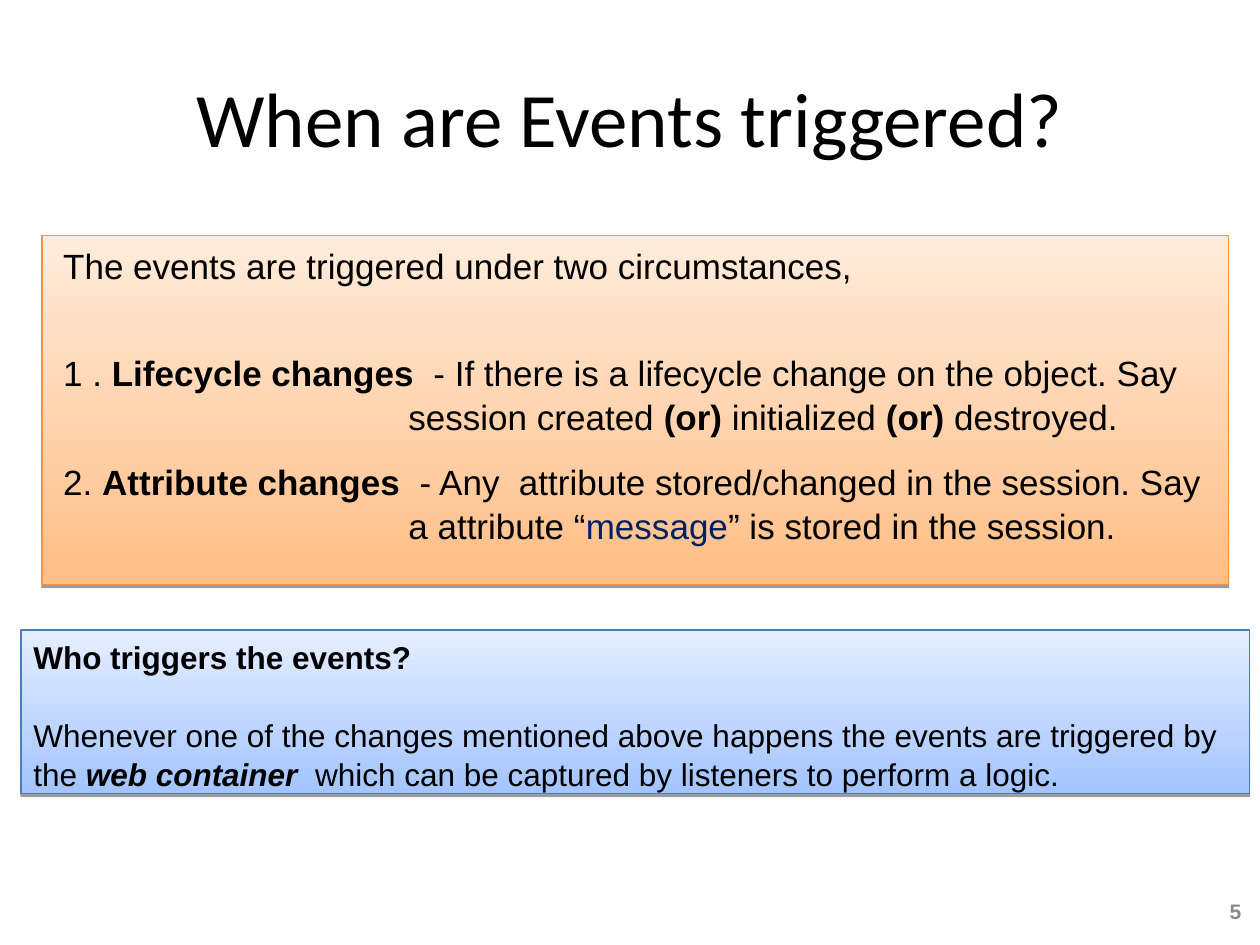
from lxml.etree import SubElement
from pptx import Presentation
from pptx.dml.color import RGBColor
from pptx.enum.shapes import MSO_SHAPE as Preset
from pptx.enum.text import MSO_ANCHOR as Anchor, PP_ALIGN as Align
from pptx.oxml.ns import qn
from pptx.util import Pt

BLACK = RGBColor(0x00, 0x00, 0x00)
GREY = RGBColor(0x89, 0x89, 0x89)
NAVY = RGBColor(0x00, 0x20, 0x60)
ORANGE_LINE = RGBColor(0xF6, 0x92, 0x40)
ORANGE_DEEP = RGBColor(0xFF, 0xBE, 0x86)
ORANGE_PALE = RGBColor(0xFF, 0xEB, 0xDB)
BLUE_LINE = RGBColor(0x4A, 0x7E, 0xBB)
BLUE_DEEP = RGBColor(0xA3, 0xC4, 0xFF)
BLUE_PALE = RGBColor(0xE5, 0xEE, 0xFF)

BOLD = {"bold": True}
BOLD_ITALIC = {"bold": True, "italic": True}


class SlideBuilder:
    title_font = "Calibri"
    body_font = "Arial"
    line_spacing = 1.05

    def __init__(self, slide):
        self.slide = slide

    def fill_paragraph(self, paragraph, runs, size, font=body_font, color=BLACK, **layout):
        """Fill a paragraph from (text, font format) pairs."""
        for name, value in layout.items():
            setattr(paragraph, name, value)
        for text, changes in runs:
            run = paragraph.add_run()
            run.text = text
            style = {"name": font, "size": Pt(size), "color": color, **changes}
            run.font.color.rgb = style.pop("color")
            for name, value in style.items():
                setattr(run.font, name, value)

    def label(self, box, text, size, align, **changes):
        frame = self.slide.shapes.add_textbox(*map(Pt, box)).text_frame
        frame.word_wrap = True
        frame.vertical_anchor = Anchor.MIDDLE
        self.fill_paragraph(frame.paragraphs[0], [(text, changes)], size, alignment=align)

    def panel(self, box, line, deep, pale, paragraphs, size, indent=(0, 0)):
        """Add a shaded rectangle with (space before, runs) paragraphs."""
        panel = self.slide.shapes.add_shape(Preset.RECTANGLE, *map(Pt, box))
        panel.line.color.rgb = line
        panel.line.width = Pt(0.75)
        panel.fill.gradient()
        panel.fill.gradient_angle = 90
        for position, (stop, color) in enumerate(zip(panel.fill.gradient_stops, (deep, pale))):
            stop.color.rgb = color
            stop.position = position
        self.drop_shadow(panel)

        frame = panel.text_frame
        frame.word_wrap = True
        frame.vertical_anchor = Anchor.TOP
        margin, first_line = indent
        for index, (gap, runs) in enumerate(paragraphs):
            paragraph = frame.add_paragraph() if index else frame.paragraphs[0]
            properties = paragraph._p.get_or_add_pPr()
            properties.set("marL", str(Pt(margin)))
            properties.set("indent", str(Pt(first_line)))
            self.fill_paragraph(paragraph, runs, size, alignment=Align.LEFT,
                                line_spacing=self.line_spacing, space_before=Pt(gap))

    def drop_shadow(self, shape):
        shape.shadow.inherit = False
        effects = shape._element.spPr.find(qn("a:effectLst"))
        shadow = SubElement(effects, qn("a:outerShdw"), blurRad="0", dist=str(Pt(1.6)),
                            dir="5400000", rotWithShape="0")
        color = SubElement(shadow, qn("a:srgbClr"), val=str(BLACK))
        SubElement(color, qn("a:alpha"), val="38000")


def main():
    deck = Presentation()
    deck.slide_width, deck.slide_height = Pt(720), Pt(540)
    builder = SlideBuilder(deck.slides.add_slide(deck.slide_layouts[6]))

    builder.label((36, 21.6, 648, 90), "When are Events triggered?", 44, Align.CENTER,
                  name=builder.title_font)
    builder.label((681, 508.3, 35.4, 25.2), "5", 12, Align.RIGHT, color=GREY, bold=True)

    circumstances = [
        (0, [("The events are triggered under two circumstances,", {})]),
        (36, [("1 . ", {}),
              ("Lifecycle changes ", BOLD),
              (" - If there is a lifecycle change on the object. Say session created ", {}),
              ("(or) ", BOLD),
              ("initialized ", {}),
              ("(or)", BOLD),
              (" destroyed.", {})]),
        (12, [("2. ", {}),
              ("Attribute changes", BOLD),
              ("  - Any  attribute stored/changed in the session. Say a attribute “", {}),
              ("message", {"color": NAVY}),
              ("” is stored in the session.", {})]),
    ]
    builder.panel((24, 134.8, 678, 199.4), ORANGE_LINE, ORANGE_DEEP, ORANGE_PALE,
                  circumstances, 20, indent=(202.3, -197.3))

    trigger_source = [
        (0, [("Who triggers the events?", BOLD)]),
        (21.7, [("Whenever one of the changes mentioned above happens the events are "
                 "triggered by the ", {}),
                ("web container ", BOLD_ITALIC),
                (" which can be captured by listeners to perform a logic.", {})]),
    ]
    builder.panel((12, 360, 702, 93.6), BLUE_LINE, BLUE_DEEP, BLUE_PALE, trigger_source, 18)

    deck.save("out.pptx")


if __name__ == "__main__":
    main()
